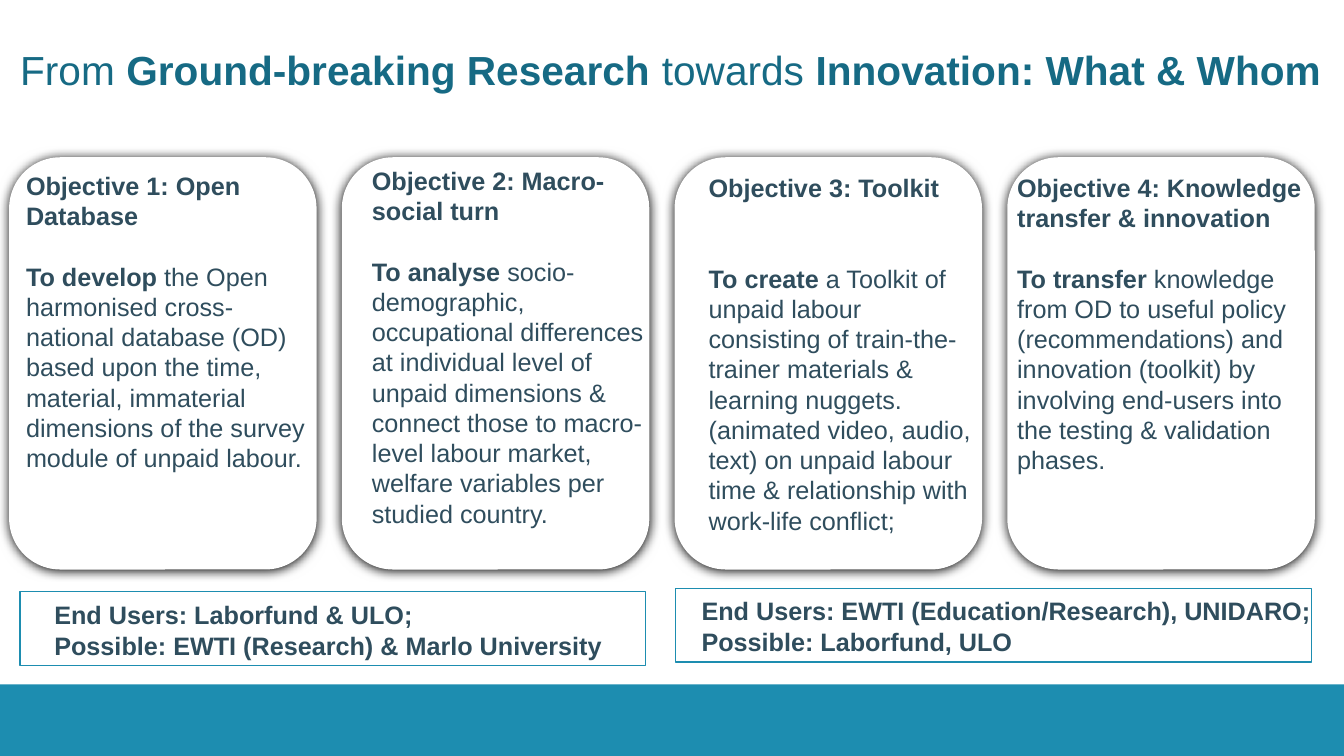
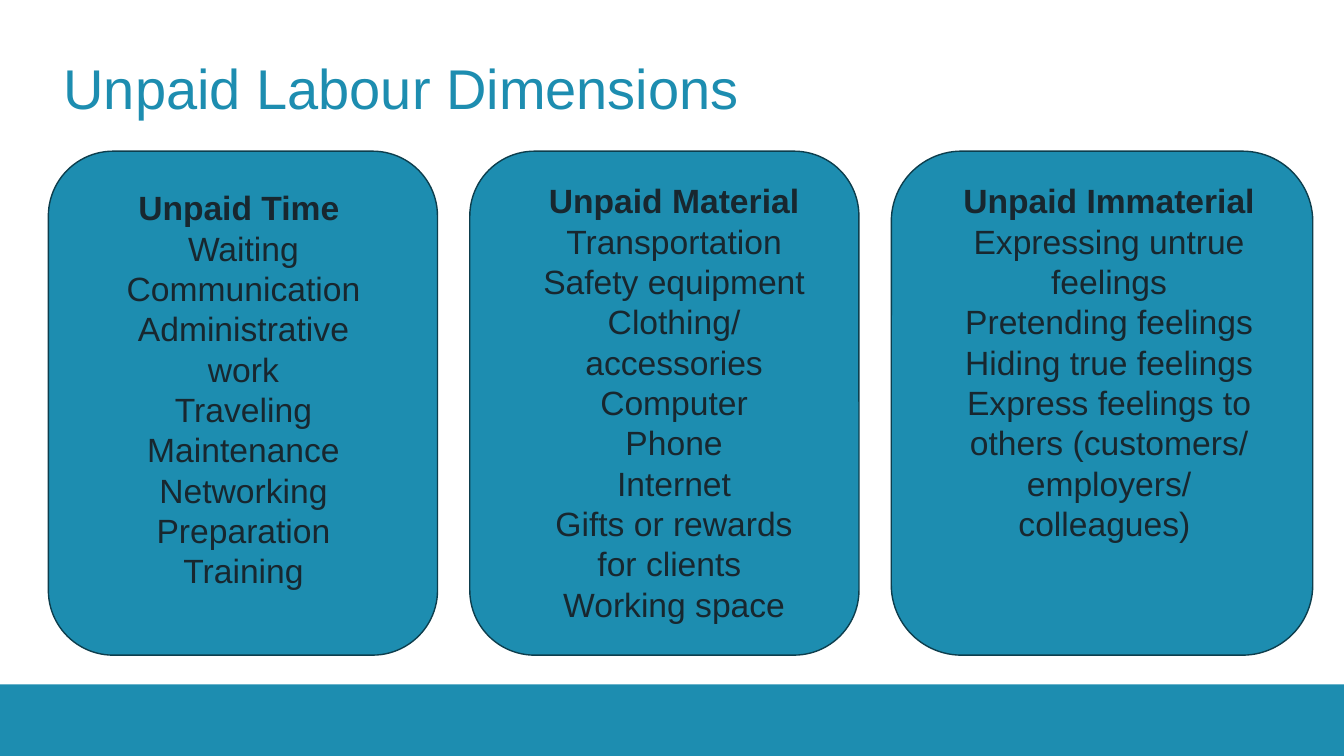
from lxml import etree
from pptx import Presentation
from pptx.dml.color import RGBColor
from pptx.enum.shapes import MSO_SHAPE
from pptx.enum.text import MSO_ANCHOR, PP_ALIGN
from pptx.oxml.ns import qn
from pptx.util import Inches, Pt

RECT, ROUND = MSO_SHAPE.RECTANGLE, MSO_SHAPE.ROUNDED_RECTANGLE
LEFT, CENTER = PP_ALIGN.LEFT, PP_ALIGN.CENTER
MIDDLE, TOP = MSO_ANCHOR.MIDDLE, MSO_ANCHOR.TOP
WIDE, HIGH = 13.33, 7.5
BAND = 0.71

THEME = {
    "font": "Arial",
    "teal": "1D8DB0", "deep": "166A84", "edge": "0D3E4D",
    "slate": "2F4D5D", "ink": "18272F", "white": "FFFFFF", "black": "000000",
    "goal": 18, "list": 24, "long": 29, "title": 40,
    "lead": 1.2,  # line pitch as a share of the type size
}

# Text is a list of paragraphs, each a list of (words, bold) runs.
AIMS_TITLE = [("From ", False), ("Ground-breaking Research ", True),
              ("towards ", False), ("Innovation: What & Whom", True)]
# text box (left, top, width), heading, blank lines below it, verb, rest
AIMS = [
    ((0.16, 1.64, 2.98), "Objective 1: Open Database", 1, "To develop ",
     "the Open harmonised cross-national database (OD) based upon the time, "
     "material, immaterial dimensions of the survey module of unpaid labour."),
    ((3.59, 1.59, 3.11), "Objective 2: Macro-social turn", 1, "To analyse ",
     "socio-demographic, occupational differences at individual level of "
     "unpaid dimensions & connect those to macro-level labour market, "
     "welfare variables per studied country."),
    ((6.93, 1.66, 2.85), "Objective 3: Toolkit", 2, "To create ",
     "a Toolkit of unpaid labour consisting of train-the-trainer materials & "
     "learning nuggets. (animated video, audio, text) on unpaid labour time "
     "& relationship with work-life conflict;"),
    ((9.99, 1.66, 3.03), "Objective 4: Knowledge transfer & innovation", 1,
     "To transfer ",
     "knowledge from OD to useful policy (recommendations) and innovation "
     "(toolkit) by involving end-users into the testing & validation phases."),
]
# frame (left, top, width), text box (left, top, width), lines
USERS = [
    ((0.2, 5.87, 6.2), (0.44, 5.9, 6.19),
     ["End Users: Laborfund & ULO;",
      "Possible: EWTI (Research) & Marlo University"]),
    ((6.7, 5.84, 6.31), (6.86, 5.86, 6.44),
     ["End Users: EWTI (Education/Research), UNIDARO; "
      "Possible: Laborfund, ULO"]),
]

KINDS_TITLE = [("Unpaid Labour Dimensions", False)]
# card width, text box (left, top, width), heading, items
KINDS = [
    (3.86, (0.9, 1.81, 3.03), "Unpaid Time ",
     ["Waiting", "Communication", "Administrative work", "Traveling",
      "Maintenance", "Networking", "Preparation", "Training"]),
    (3.86, (5.24, 1.74, 2.89), "Unpaid Material",
     ["Transportation", "Safety equipment", "Clothing/ accessories Computer",
      "Phone", "Internet", "Gifts or rewards for clients ",
      "Working space"]),
    (4.18, (9.3, 1.74, 3.4), "Unpaid Immaterial",
     ["Expressing untrue feelings", "Pretending feelings",
      "Hiding true feelings",
      "Express feelings to others (customers/ employers/ colleagues) "]),
]


def color(name):
    return RGBColor.from_string(THEME[name])


def box(*sides):
    return [Inches(side) for side in sides]


def fill_text(frame, paras, size, tint, align=LEFT, gap=0):
    """Write the paragraphs; gap is the number of lines below the first."""
    pitch = THEME[size] * THEME["lead"]
    look = {"name": THEME["font"], "size": Pt(THEME[size])}
    for i, runs in enumerate(paras):
        para = frame.add_paragraph() if i else frame.paragraphs[0]
        form = {"alignment": align, "line_spacing": Pt(pitch),
                "space_before": Pt(0),
                "space_after": Pt(0 if i else gap * pitch)}
        for key, value in form.items():
            setattr(para, key, value)
        for words, bold in runs:
            run = para.add_run()
            run.text = words
            for key, value in {**look, "bold": bold}.items():
                setattr(run.font, key, value)
            run.font.color.rgb = color(tint)


def add_title(slide, place, runs, size, tint):
    title = slide.shapes.title
    keys = ("left", "top", "width", "height")
    for key, value in zip(keys, box(*place)):
        setattr(title, key, value)
    frame = title.text_frame
    form = {"vertical_anchor": MIDDLE, "word_wrap": True, "margin_left": 0,
            "margin_right": 0, "margin_top": 0, "margin_bottom": 0}
    for key, value in form.items():
        setattr(frame, key, value)
    fill_text(frame, [runs], size, tint)


def add_text(slide, place, *args, **form):
    frame = slide.shapes.add_textbox(*box(*place, 0.5)).text_frame
    frame.word_wrap = True
    frame.vertical_anchor = TOP
    fill_text(frame, *args, **form)


def add_panel(slide, kind, place, fill, line=None):
    panel = slide.shapes.add_shape(kind, *box(*place))
    panel.shadow.inherit = False
    panel.fill.solid()
    panel.fill.fore_color.rgb = color(fill)
    if line:
        panel.line.color.rgb = color(line)
        panel.line.width = Pt(1)
    else:
        panel.line.fill.background()
    return panel


def add_shadow(panel):
    effects = panel.element.spPr.find(qn("a:effectLst"))
    shade = etree.SubElement(
        effects, qn("a:outerShdw"), blurRad=str(Pt(8.5)), dist=str(Pt(1)),
        dir=str(90 * 60000), algn="ctr", rotWithShape="0")
    etree.SubElement(shade, qn("a:srgbClr"), val=THEME["black"])


def add_band(slide):
    """Move the foot band to the layout, behind everything."""
    band = add_panel(slide, RECT, (0, HIGH - BAND, WIDE, BAND), "teal")
    band.element.nvSpPr.cNvPr.set("id", "99")
    slide.slide_layout.element.cSld.spTree.insert(2, band.element)


def draw_aims(slide):
    add_title(slide, (0.2, 0.06, 13.1, 1.26), AIMS_TITLE, "long", "deep")
    for i in range(len(AIMS)):
        add_shadow(add_panel(slide, ROUND, (0.09 + 3.3 * i, 1.56, 3.05, 4.09),
                             "white"))
    for place, head, gap, verb, rest in AIMS:
        paras = [[(head, True)], [(verb, True), (rest, False)]]
        add_text(slide, place, paras, "goal", "slate", gap=gap)
    for frame, place, lines in USERS:
        add_panel(slide, RECT, (*frame, 0.73), "white", "teal")
        add_text(slide, place, [[(line, True)] for line in lines],
                 "goal", "slate")


def draw_kinds(slide):
    add_title(slide, (0.63, 0.23, 12.07, 1.26), KINDS_TITLE, "title", "teal")
    for i, (width, place, head, items) in enumerate(KINDS):
        add_panel(slide, ROUND, (0.48 + 4.18 * i, 1.5, width, 5),
                  "teal", "edge")
        paras = [[(head, True)]] + [[(item, False)] for item in items]
        add_text(slide, place, paras, "list", "ink", align=CENTER)


def main():
    deck = Presentation()
    deck.slide_width, deck.slide_height = box(WIDE, HIGH)
    layout = deck.slide_layouts[5]
    slides = [deck.slides.add_slide(layout) for _ in range(2)]
    add_band(slides[0])
    for draw, slide in zip((draw_aims, draw_kinds), slides):
        draw(slide)
    deck.save("out.pptx")


if __name__ == "__main__":
    main()
